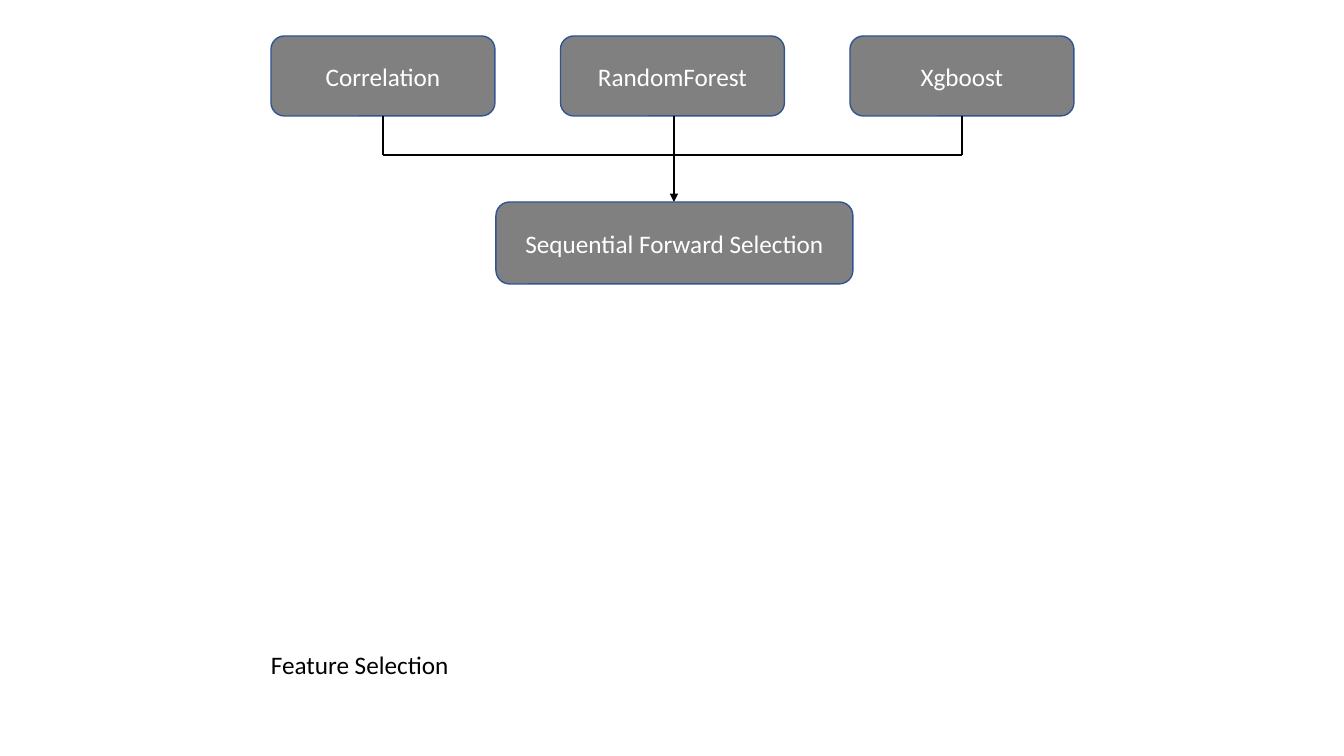
import pptx
import pptx.util
import pptx.dml.color
import pptx.enum.shapes
import pptx.enum.text
import pptx.oxml.ns
import lxml.etree

SCALE = 914400 / 100.8
GRAY = pptx.dml.color.RGBColor(0x80, 0x80, 0x80)
BLUE = pptx.dml.color.RGBColor(0x32, 0x54, 0x91)
BLACK = pptx.dml.color.RGBColor(0, 0, 0)
WHITE = pptx.dml.color.RGBColor(255, 255, 255)
METHODS = ["Correlation", "RandomForest", "Xgboost"]


def emu(*pixels):
    return [pptx.util.Emu(round(value * SCALE)) for value in pixels]


def set_text(frame, text, color, alignment):
    para = frame.paragraphs[0]
    para.text = text
    para.alignment = alignment
    para.font.name = "Calibri"
    para.font.size = pptx.util.Pt(18)
    para.font.color.rgb = color


def add_step(page, text, left, top, width, height):
    step = page.shapes.add_shape(
        pptx.enum.shapes.MSO_SHAPE.ROUNDED_RECTANGLE, *emu(left, top, width, height))
    step.shadow.inherit = False
    step.fill.solid()
    step.fill.fore_color.rgb = GRAY
    step.line.color.rgb = BLUE
    step.line.width = pptx.util.Pt(1)
    step.text_frame.vertical_anchor = pptx.enum.text.MSO_ANCHOR.MIDDLE
    step.text_frame.word_wrap = True
    set_text(step.text_frame, text, WHITE, pptx.enum.text.PP_ALIGN.CENTER)


def add_line(page, start_x, start_y, end_x, end_y, weight=2, arrow=False):
    line = page.shapes.add_connector(
        pptx.enum.shapes.MSO_CONNECTOR.STRAIGHT, *emu(start_x, start_y, end_x, end_y))
    line.line.color.rgb = BLACK
    line.line.width = pptx.util.Pt(weight)
    if arrow:
        lxml.etree.SubElement(
            line.line._get_or_add_ln(), pptx.oxml.ns.qn("a:tailEnd"), type="triangle")
    properties = line._element.spPr
    lxml.etree.SubElement(properties, pptx.oxml.ns.qn("a:effectLst"))


def add_selection_diagram(page, left, top, width, height):
    method_width, method_height = 224, 80
    selection_width, selection_height = 357, 82
    step_x = (width - method_width) / (len(METHODS) - 1)
    method_bottom = top + method_height
    bus_y = method_bottom + 39
    selection_top = top + height - selection_height
    center = left + width // 2 + 2
    stems = [left + method_width // 2, center, left + width - method_width // 2]

    add_line(page, stems[0], bus_y, stems[-1], bus_y)
    for index, (method, stem) in enumerate(zip(METHODS, stems)):
        add_step(page, method, left + index * step_x, top, method_width, method_height)
        add_line(page, stem, method_bottom, stem, bus_y)
    add_line(page, center, bus_y, center, selection_top, 1.75, True)
    add_step(page, "Sequential Forward Selection", center - selection_width // 2,
             selection_top, selection_width, selection_height)


def add_caption(page, left, top, width, height):
    box = page.shapes.add_textbox(*emu(left, top, width, height))
    box.text_frame.word_wrap = False
    box.text_frame.auto_size = pptx.enum.text.MSO_AUTO_SIZE.SHAPE_TO_FIT_TEXT
    set_text(box.text_frame, "Feature Selection", BLACK, pptx.enum.text.PP_ALIGN.LEFT)


deck = pptx.Presentation()
deck.slide_width, deck.slide_height = emu(1344, 756)
page = deck.slides.add_slide(deck.slide_layouts[6])
add_selection_diagram(page, 271, 36, 803, 248)
add_caption(page, 261, 644, 201, 40)
deck.save("out.pptx")
